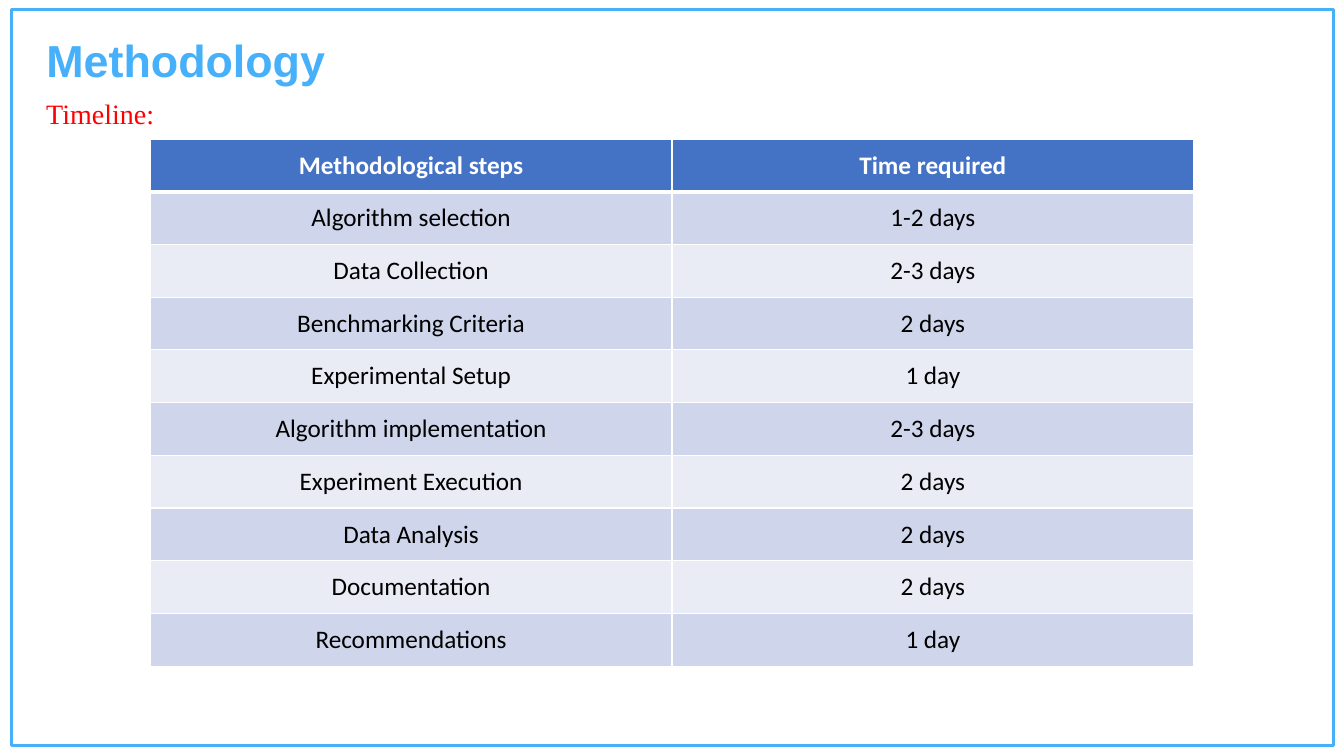
import pptx
import pptx.util
import pptx.dml.color
import pptx.enum.shapes
import pptx.enum.text
import pptx.oxml
import pptx.oxml.ns
from dataclasses import dataclass

# Content
TITLE = "Methodology"
SUBTITLE = "Timeline:"
TIMELINE = [
    ("Methodological steps", "Time required"),
    ("Algorithm selection", "1-2 days"),
    ("Data Collection", "2-3 days"),
    ("Benchmarking Criteria", "2 days"),
    ("Experimental Setup", "1 day"),
    ("Algorithm implementation", "2-3 days"),
    ("Experiment Execution", "2 days"),
    ("Data Analysis", "2 days"),
    ("Documentation", "2 days"),
    ("Recommendations", "1 day"),
]

# Geometry in px: left, top, width, height
PX = 9144
SLIDE = (1333, 750)
FRAME_BOX = (11, 9, 1312, 731)
TITLE_BOX = (36, 27, 824, 64)
SUBTITLE_BOX = (36, 91, 1257, 44)
TABLE_BOX = (149, 138, 1035, 523)


@dataclass(frozen=True)
class Theme:
    frame: str = "46B0F9"
    title: str = "46B0FA"
    subtitle: str = "FF0000"
    header: str = "4472C4"
    bands: tuple = ("CFD5EA", "E9EBF5")
    white: str = "FFFFFF"
    text: str = "000000"
    title_font: str = "Arial"
    subtitle_font: str = "Times New Roman"
    table_font: str = "Calibri"
    title_size: int = 32
    subtitle_size: int = 20
    table_size: int = 18
    frame_line: float = 2.25
    grid_line: int = 1
    header_line: int = 3


THEME = Theme()
ALIGN = pptx.enum.text.PP_ALIGN
ANCHOR = pptx.enum.text.MSO_ANCHOR


def emu(box):
    return [v * PX for v in box]


def rgb(color):
    return pptx.dml.color.RGBColor.from_string(color)


def write(tf, text, font, size, color, bold=False, align=ALIGN.LEFT):
    tf.text = text
    p = tf.paragraphs[0]
    p.alignment = align
    r = p.runs[0]
    r.font.name = font
    r.font.size = pptx.util.Pt(size)
    r.font.color.rgb = rgb(color)
    r.font.bold = bold


def add_border(cell, side, width):
    ns = pptx.oxml.ns.nsdecls("a")
    cell._tc.get_or_add_tcPr().append(pptx.oxml.parse_xml(
        f'<a:ln{side} {ns} w="{pptx.util.Pt(width)}"><a:solidFill>'
        f'<a:srgbClr val="{THEME.white}"/></a:solidFill></a:ln{side}>'))


def add_frame(s):
    sp = s.shapes.add_shape(pptx.enum.shapes.MSO_SHAPE.RECTANGLE, *emu(FRAME_BOX))
    sp.shadow.inherit = False
    sp.fill.background()
    sp.line.color.rgb = rgb(THEME.frame)
    sp.line.width = pptx.util.Pt(THEME.frame_line)


def add_headings(s):
    title = s.shapes.title
    title.left, title.top, title.width, title.height = emu(TITLE_BOX)
    write(title.text_frame, TITLE, THEME.title_font, THEME.title_size, THEME.title, True)
    subtitle = s.shapes.add_textbox(*emu(SUBTITLE_BOX))
    write(subtitle.text_frame, SUBTITLE, THEME.subtitle_font, THEME.subtitle_size,
          THEME.subtitle)
    for sp in (title, subtitle):
        tf = sp.text_frame
        tf.word_wrap = True
        tf.auto_size = pptx.enum.text.MSO_AUTO_SIZE.NONE
        tf.vertical_anchor = ANCHOR.TOP


def add_timeline(s):
    rows, cols = len(TIMELINE), len(TIMELINE[0])
    table = s.shapes.add_table(rows, cols, *emu(TABLE_BOX)).table
    for i, values in enumerate(TIMELINE):
        head = i == 0
        fill = THEME.header if head else THEME.bands[(i - 1) % 2]
        # The thick rule lies between the header and the first step
        widths = {
            "L": THEME.grid_line,
            "R": THEME.grid_line,
            "T": THEME.header_line if i == 1 else THEME.grid_line,
            "B": THEME.header_line if head else THEME.grid_line,
        }
        for j, value in enumerate(values):
            cell = table.cell(i, j)
            write(cell.text_frame, value, THEME.table_font, THEME.table_size,
                  THEME.white if head else THEME.text, head, ALIGN.CENTER)
            cell.vertical_anchor = ANCHOR.MIDDLE
            for side, width in widths.items():
                add_border(cell, side, width)
            cell.fill.solid()
            cell.fill.fore_color.rgb = rgb(fill)


def main():
    prs = pptx.Presentation()
    prs.slide_width, prs.slide_height = emu(SLIDE)
    s = prs.slides.add_slide(prs.slide_layouts.get_by_name("Title Only"))
    add_frame(s)
    add_headings(s)
    add_timeline(s)
    prs.save("out.pptx")


if __name__ == "__main__":
    main()
